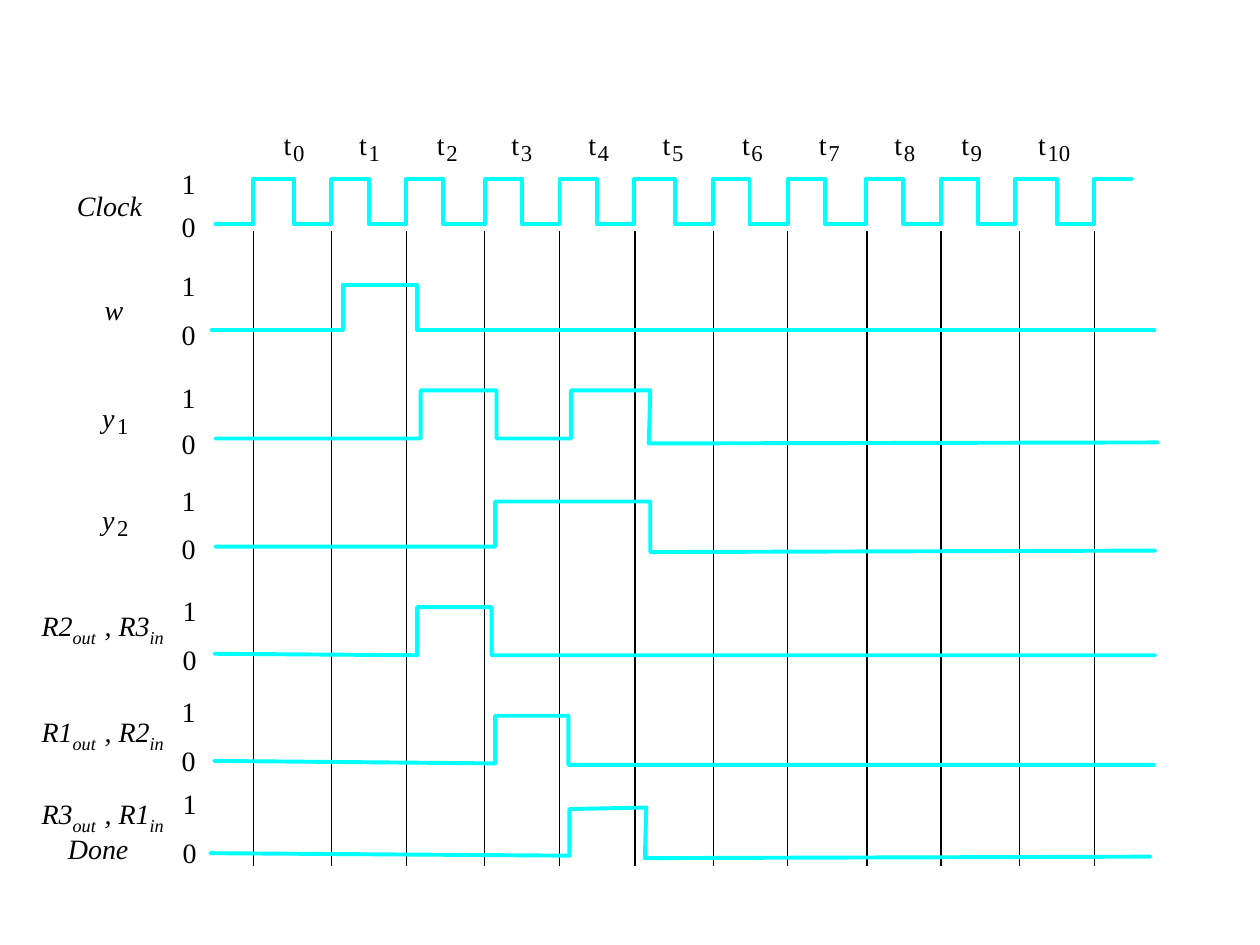
from lxml import etree
from pptx import Presentation
from pptx.dml.color import RGBColor
from pptx.enum.shapes import MSO_CONNECTOR
from pptx.oxml.ns import qn
from pptx.util import Cm, Pt

STRAIGHT = MSO_CONNECTOR.STRAIGHT
BLACK = RGBColor(0x00, 0x00, 0x00)
CYAN = RGBColor(0x00, 0xFF, 0xFF)
FONT = "Times New Roman"

# All positions are in centimetres.
GRID_TOP, GRID_BOTTOM = 4.65, 17.45
GRID_X = [5.11, 6.68, 8.19, 9.77, 11.28, 12.8, 14.38, 15.88, 17.48, 18.97, 20.55, 22.07]

CLOCK_START, CLOCK_END = 4.34, 22.81
CLOCK_HIGH, CLOCK_LOW = 3.61, 4.52
CLOCK_RISES = [5.11, 6.68, 8.18, 9.78, 11.28, 12.78, 14.38, 15.88, 17.45, 18.97, 20.47, 22.05]
CLOCK_FALLS = [5.92, 7.44, 8.94, 10.52, 12.04, 13.61, 15.11, 16.64, 18.21, 19.71, 21.31]

TIME_X = [5.72, 7.24, 8.81, 10.31, 11.86, 13.36, 14.96, 16.51, 18.03, 19.38, 20.93]
TIME_TOP = 2.57

SIGNALS = {
    "w": [(4.27, 6.65), (6.91, 6.65), (6.91, 5.74), (8.41, 5.74), (8.41, 6.65), (23.27, 6.65)],
    "y1": [(4.34, 8.84), (8.48, 8.84), (8.48, 7.87), (10.01, 7.87), (10.01, 8.84),
           (11.51, 8.84), (11.51, 7.87), (13.11, 7.87), (13.08, 8.94), (23.34, 8.92)],
    "y2": [(4.34, 11.02), (9.98, 11.02), (9.98, 10.11), (13.11, 10.11), (13.11, 11.13),
           (23.29, 11.1)],
    "R2out, R3in": [(4.32, 13.18), (8.41, 13.21), (8.41, 12.24), (9.91, 12.24),
                    (9.91, 13.21), (23.29, 13.21)],
    "R1out, R2in": [(4.32, 15.34), (9.98, 15.39), (9.98, 14.43), (11.46, 14.43),
                    (11.46, 15.42), (23.27, 15.42)],
    "R3out, R1in": [(4.24, 17.2), (11.48, 17.25), (11.48, 16.31), (13.03, 16.28),
                    (13.0, 17.3), (23.19, 17.27)],
}

# Left, top of the "1" and top of the "0" beside each signal
LEVELS = [
    (3.66, 3.35, 4.22), (3.66, 5.41, 6.4), (3.66, 7.67, 8.59), (3.66, 9.75, 10.72),
    (3.68, 11.96, 12.95), (3.66, 14.0, 14.99), (3.68, 15.85, 16.84),
]
NAMES = [("Clock", 1.55, 3.81, 1.73), ("w", 2.11, 5.89, 0.61), ("Done", 1.37, 16.76, 2.13)]
STATE_BITS = [("1", 8.08), ("2", 10.13)]
TRANSFERS = [("R2", "R3", 12.19), ("R1", "R2", 14.33), ("R3", "R1", 15.98)]


def add_grid_line(drawing, x):
    line = drawing.shapes.add_connector(STRAIGHT, Cm(x), Cm(GRID_BOTTOM), Cm(x), Cm(GRID_TOP))
    line.line.color.rgb = BLACK
    line.line.width = Pt(0.75)
    etree.SubElement(line._element.spPr, qn("a:effectLst"))


def clock_points():
    points = [(CLOCK_START, CLOCK_LOW)]
    for rise, fall in zip(CLOCK_RISES, CLOCK_FALLS + [None]):
        points += [(rise, CLOCK_LOW), (rise, CLOCK_HIGH)]
        if fall is not None:
            points += [(fall, CLOCK_HIGH), (fall, CLOCK_LOW)]
    return points + [(CLOCK_END, CLOCK_HIGH)]


def add_waveform(drawing, points):
    """Draw an open cyan outline with round ends and corners."""
    (start_x, start_y), *others = [(Cm(x), Cm(y)) for x, y in points]
    builder = drawing.shapes.build_freeform(start_x, start_y)
    builder.add_line_segments(others, close=False)
    wave = builder.convert_to_shape()
    wave.shadow.inherit = False
    wave.fill.background()
    wave.line.color.rgb = CYAN
    wave.line.width = Pt(2.25)
    outline = wave._element.spPr.find(qn("a:ln"))
    outline.set("cap", "rnd")
    etree.SubElement(outline, qn("a:round"))


def add_label(drawing, text, left, top, width, size=16, italic=False, subscript=""):
    box = drawing.shapes.add_textbox(Cm(left), Cm(top), Cm(width), Cm(size * 0.041))
    frame = box.text_frame
    frame.margin_left = frame.margin_right = frame.margin_top = frame.margin_bottom = 0
    frame.word_wrap = True
    paragraph = frame.paragraphs[0]
    paragraph.text = text
    if subscript:
        paragraph.add_run().text = subscript
    for run in paragraph.runs:
        run.font.name = FONT
        run.font.size = Pt(size)
        run.font.italic = italic
        run.font.color.rgb = BLACK
    if subscript:
        font = paragraph.runs[-1].font
        font.size = Pt(18)
        font._element.set("baseline", "-25000")


def add_indexed_label(drawing, letter, index, left, top, offset, italic=False):
    """Place a letter with its smaller index in a box of its own."""
    add_label(drawing, letter, left, top, 0.45, italic=italic)
    add_label(drawing, index, left + offset, top + 0.23, 0.4 * len(index), size=13)


def add_signal_names(drawing):
    for name, left, top, width in NAMES:
        add_label(drawing, name, left, top, width, italic=True)
    for index, top in STATE_BITS:
        add_indexed_label(drawing, "y", index, 2.06, top, 0.3, italic=True)
    for source, target, top in TRANSFERS:
        add_label(drawing, source, 0.84, top, 1.24, italic=True, subscript="out")
        add_label(drawing, f", {target}", 2.11, top, 1.55, italic=True, subscript="in")


def main():
    presentation = Presentation()
    presentation.slide_width = Cm(25.4)
    presentation.slide_height = Cm(19.05)
    slide = presentation.slides.add_slide(presentation.slide_layouts[6])
    drawing = slide.shapes.add_group_shape()

    for x in GRID_X:
        add_grid_line(drawing, x)
    for points in [clock_points(), *SIGNALS.values()]:
        add_waveform(drawing, points)
    for number, left in enumerate(TIME_X):
        add_indexed_label(drawing, "t", str(number), left, TIME_TOP, 0.19)
    for left, high_top, low_top in LEVELS:
        add_label(drawing, "1", left, high_top, 0.51)
        add_label(drawing, "0", left, low_top, 0.51)
    add_signal_names(drawing)

    presentation.save("out.pptx")


if __name__ == "__main__":
    main()
